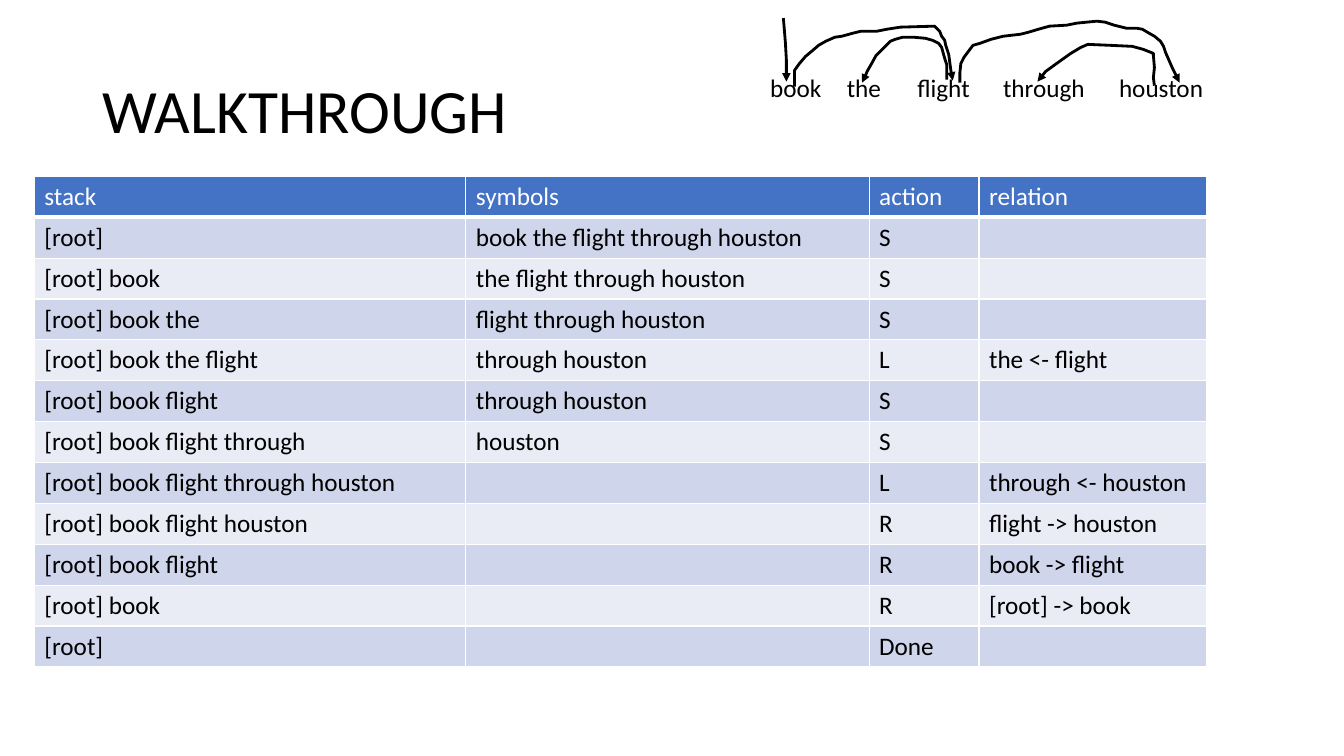
from dataclasses import dataclass

from lxml import etree
from pptx import Presentation
from pptx.dml.color import RGBColor
from pptx.enum.text import MSO_ANCHOR, MSO_AUTO_SIZE
from pptx.oxml.ns import qn
from pptx.util import Emu, Pt

MIDDLE = MSO_ANCHOR.MIDDLE
TOP = MSO_ANCHOR.TOP
GROW = MSO_AUTO_SIZE.SHAPE_TO_FIT_TEXT
NO_FIT = MSO_AUTO_SIZE.NONE
SCALE = 9144


@dataclass(frozen=True)
class Theme:
    font: str = "Calibri"
    ink: str = "000000"
    white: str = "FFFFFF"
    header: str = "4472C4"
    bands: tuple[str, str] = ("CFD5EA", "E9EBF5")
    title_size: int = 44
    body_size: int = 18
    stroke: int = 2
    border: int = 1
    header_border: int = 3


@dataclass(frozen=True)
class Label:
    text: str
    x: int
    y: int
    w: int
    h: int
    size: int
    title: bool = False


@dataclass(frozen=True)
class Arc:
    points: tuple[tuple[int, int], ...]


@dataclass(frozen=True)
class Step:
    stack: str
    symbols: str
    action: str
    relation: str = ""

    def cells(self) -> tuple[str, str, str, str]:
        return self.stack, self.symbols, self.action, self.relation


THEME = Theme()
TITLE = Label("WALKTHROUGH", 92, 40, 425, 145, THEME.title_size, True)
WORDS = [
    Label(text, x, 67, w, 40, THEME.body_size)
    for text, x, w in [
        ("book", 754, 72),
        ("the", 830, 55),
        ("flight", 900, 73),
        ("through", 985, 102),
        ("houston", 1100, 105),
    ]
]
COLUMNS = (428, 400, 109, 226)
STEPS = [
    Step("stack", "symbols", "action", "relation"),
    Step("[root]", "book the flight through houston", "S"),
    Step("[root] book", "the flight through houston", "S"),
    Step("[root] book the", "flight through houston", "S"),
    Step("[root] book the flight", "through houston", "L", "the <- flight"),
    Step("[root] book flight", "through houston", "S"),
    Step("[root] book flight through", "houston", "S"),
    Step("[root] book flight through houston", "", "L", "through <- houston"),
    Step("[root] book flight houston", "", "R", "flight -> houston"),
    Step("[root] book flight", "", "R", "book -> flight"),
    Step("[root] book", "", "R", "[root] -> book"),
    Step("[root]", "", "Done"),
]
FLIGHT_TO_THE = Arc((
    (855, 82), (858, 76), (860, 71), (864, 64), (869, 55), (875, 49), (879, 45),
    (883, 41), (888, 39), (895, 37), (907, 37), (918, 38), (925, 40), (931, 43),
    (934, 47), (937, 58), (939, 64), (939, 79),
))
HOUSTON_TO_THROUGH = Arc((
    (1029, 81), (1033, 76), (1037, 71), (1048, 63), (1062, 53), (1072, 47),
    (1079, 44), (1102, 45), (1123, 46), (1134, 49), (1144, 53), (1144, 55),
    (1145, 67), (1144, 77), (1145, 85),
))
FLIGHT_TO_HOUSTON = Arc((
    (1170, 82), (1163, 68), (1156, 52), (1154, 46), (1151, 41), (1145, 36),
    (1138, 32), (1133, 29), (1127, 28), (1117, 28), (1105, 25), (1096, 22),
    (1088, 21), (1078, 22), (1068, 23), (1058, 25), (1041, 26), (1030, 29),
    (1020, 32), (1012, 34), (995, 36), (983, 39), (972, 43), (965, 45),
    (962, 49), (956, 57), (953, 63), (952, 72), (952, 82),
))
BOOK_TO_FLIGHT = Arc((
    (945, 80), (943, 69), (941, 54), (938, 45), (937, 40), (934, 36), (932, 31),
    (927, 26), (893, 27), (880, 29), (870, 31), (854, 31), (846, 33), (835, 36),
    (828, 37), (819, 41), (812, 45), (805, 51), (799, 56), (793, 63), (788, 70),
    (788, 86),
))
ROOT_TO_BOOK = Arc(((780, 81), (780, 60), (779, 42), (777, 18)))
ARCS = [
    FLIGHT_TO_THE, HOUSTON_TO_THROUGH, FLIGHT_TO_HOUSTON, BOOK_TO_FLIGHT, ROOT_TO_BOOK,
]


def px(n: int) -> Emu:
    return Emu(n * SCALE)


def rgb(color: str) -> RGBColor:
    return RGBColor.from_string(color)


def style(p, size: int, color: str) -> None:
    p.font.name = THEME.font
    p.font.size = Pt(size)
    p.font.bold = False
    p.font.color.rgb = rgb(color)


def draw_label(s, label: Label) -> None:
    box = s.shapes.add_textbox(px(label.x), px(label.y), px(label.w), px(label.h))
    tf = box.text_frame
    tf.word_wrap = label.title
    tf.auto_size = NO_FIT if label.title else GROW
    tf.vertical_anchor = MIDDLE if label.title else TOP
    p = tf.paragraphs[0]
    p.text = label.text
    p.line_spacing = 0.9 if label.title else 1.0
    style(p, label.size, THEME.ink)


def draw_arc(s, arc: Arc) -> None:
    start, *rest = arc.points
    builder = s.shapes.build_freeform(*start, scale=SCALE)
    builder.add_line_segments(rest, close=False)
    sp = builder.convert_to_shape()
    sp.shadow.inherit = False
    sp.fill.background()
    sp.line.color.rgb = rgb(THEME.ink)
    sp.line.width = Pt(THEME.stroke)
    etree.SubElement(sp.line._get_or_add_ln(), qn("a:headEnd"), type="triangle")


def draw_border(cell, side: str, width: int) -> None:
    tc_pr = cell._tc.get_or_add_tcPr()
    ln = etree.SubElement(tc_pr, qn(f"a:ln{side}"), w=str(Pt(width)))
    fill = etree.SubElement(ln, qn("a:solidFill"))
    etree.SubElement(fill, qn("a:srgbClr"), val=THEME.white)


def draw_table(s, steps: list[Step]) -> None:
    frame = s.shapes.add_table(
        len(steps), len(COLUMNS), px(34), px(175), px(sum(COLUMNS)), px(487)
    )
    table = frame.table
    for column, width in zip(table.columns, COLUMNS):
        column.width = px(width)
    for i, step in enumerate(steps):
        header = i == 0
        for j, text in enumerate(step.cells()):
            cell = table.cell(i, j)
            for side in "LRTB":
                thick = header and side == "B"
                draw_border(cell, side, THEME.header_border if thick else THEME.border)
            cell.fill.solid()
            cell.fill.fore_color.rgb = rgb(THEME.header if header else THEME.bands[(i - 1) % 2])
            p = cell.text_frame.paragraphs[0]
            p.text = text
            style(p, THEME.body_size, THEME.white if header else THEME.ink)


def main() -> None:
    prs = Presentation()
    prs.slide_width, prs.slide_height = px(1333), px(750)
    s = prs.slides.add_slide(prs.slide_layouts[6])
    draw_label(s, TITLE)
    draw_table(s, STEPS)
    for word in WORDS:
        draw_label(s, word)
    for arc in ARCS:
        draw_arc(s, arc)
    prs.save("out.pptx")


if __name__ == "__main__":
    main()
